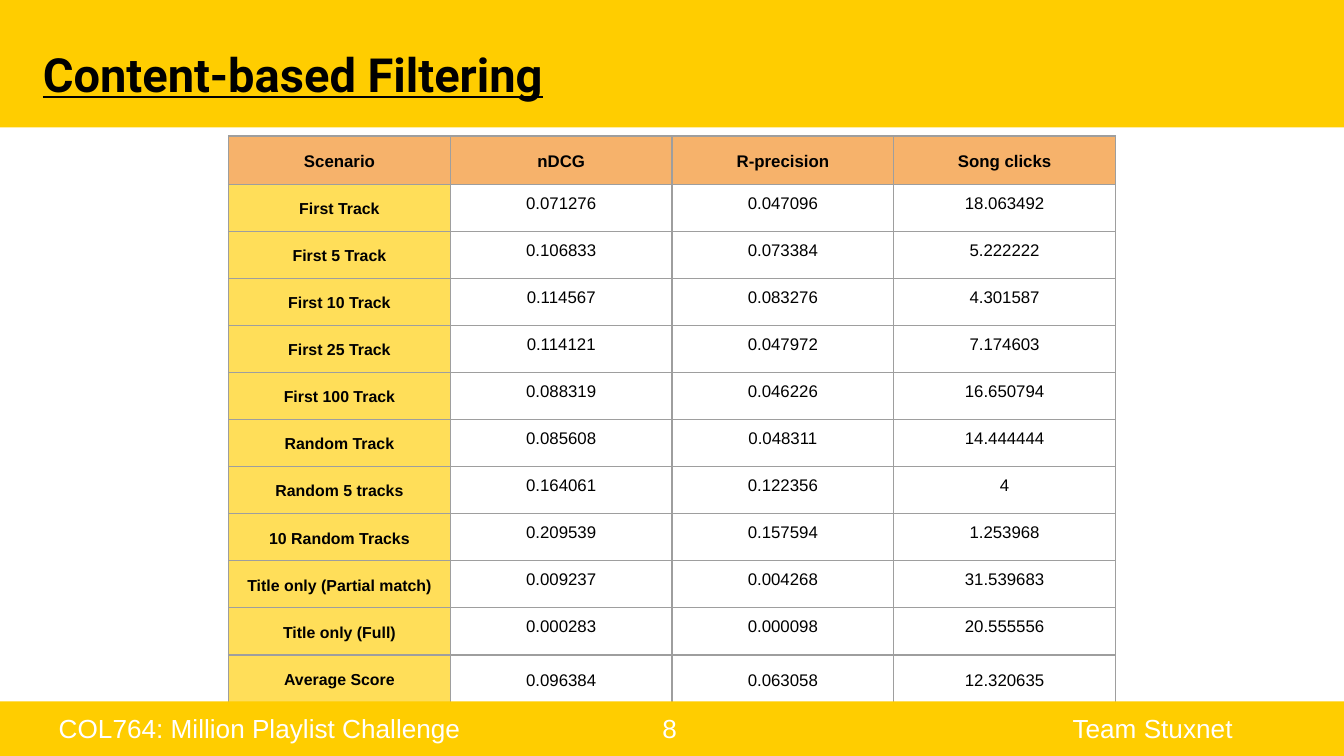
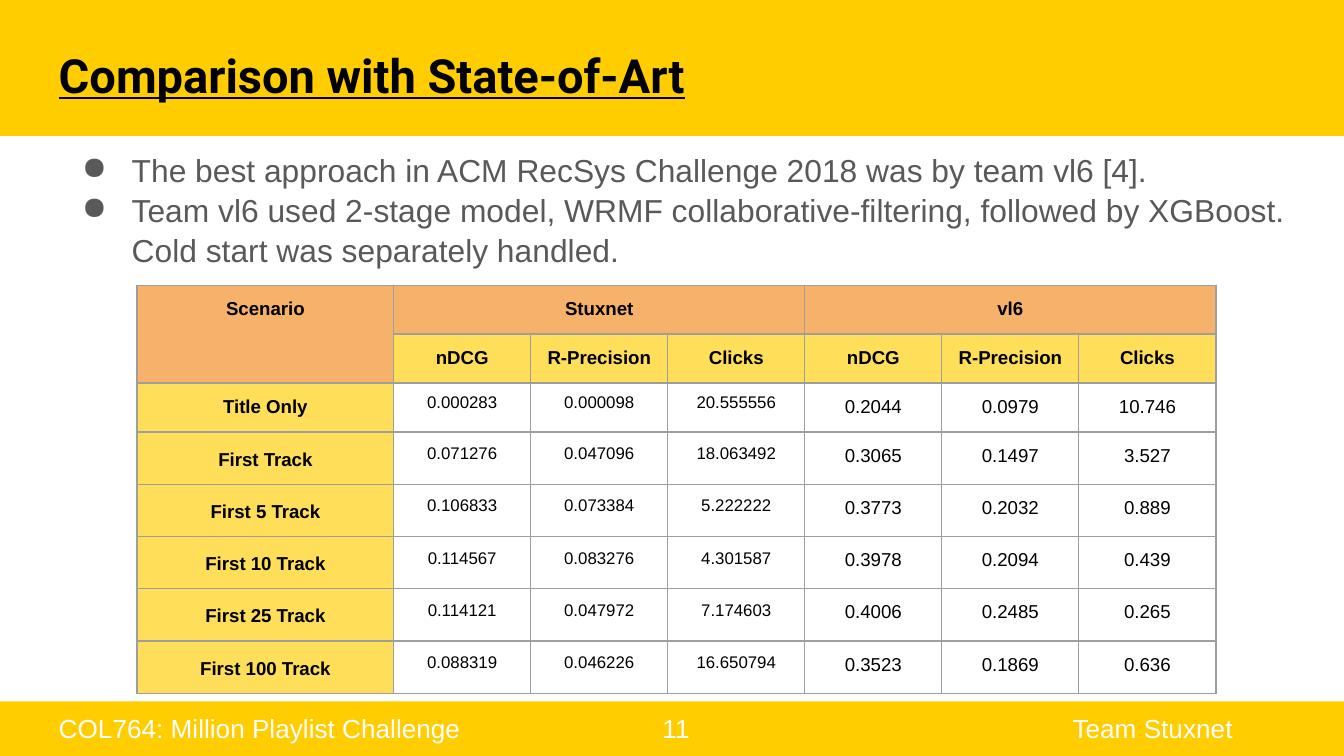
from dataclasses import dataclass, replace
from typing import Optional

from lxml.etree import SubElement
from pptx import Presentation
from pptx.dml.color import RGBColor
from pptx.enum.shapes import MSO_SHAPE
from pptx.enum.text import MSO_ANCHOR, PP_ALIGN
from pptx.oxml.ns import qn
from pptx.util import Cm, Pt

# Colours and fonts
YELLOW = RGBColor(0xFF, 0xCD, 0x00)
ORANGE = RGBColor(0xF6, 0xB2, 0x6B)
GRID = RGBColor(0x9E, 0x9E, 0x9E)
GREY = RGBColor(0x59, 0x59, 0x59)
BLACK = RGBColor(0x00, 0x00, 0x00)
WHITE = RGBColor(0xFF, 0xFF, 0xFF)
BODY_FONT = "Arial"
TITLE_FONT = "Roboto"

# Shared measures, in cm
SLIDE_W, SLIDE_H = 25.4, 14.29
BAND_LEFT, BAND_W = -0.08, 25.48
FOOTER_TOP = 13.26
INSET, TIGHT = 0.25, 0.03


@dataclass(frozen=True)
class Box:
    left: float
    top: float
    width: float
    height: float

    def lengths(self) -> tuple:
        return Cm(self.left), Cm(self.top), Cm(self.width), Cm(self.height)


@dataclass(frozen=True)
class Font:
    size: float
    color: RGBColor = BLACK
    name: str = BODY_FONT
    bold: bool = False
    underline: bool = False


@dataclass(frozen=True)
class CellStyle:
    size: float
    bold: bool = False
    fill: Optional[RGBColor] = None
    opacity: int = 100
    inset: float = INSET
    spacing: Optional[float] = 1.15
    anchor: MSO_ANCHOR = MSO_ANCHOR.MIDDLE


@dataclass(frozen=True)
class Header:
    title: str
    box: Box
    band_height: float


TITLE = Font(25.2, name=TITLE_FONT, bold=True, underline=True)
FOOTER = Font(14, WHITE)
BODY = Font(17, GREY)

HEAD = CellStyle(9, bold=True, fill=ORANGE)
LABEL = CellStyle(8.5, bold=True, fill=YELLOW, opacity=65)
SCORE = CellStyle(9, inset=TIGHT)
AVERAGE = replace(SCORE, inset=INSET)
WIDE_LABEL = replace(LABEL, size=10)
TOP_LABEL = replace(WIDE_LABEL, spacing=None, anchor=MSO_ANCHOR.TOP)
TOP_HEAD = replace(TOP_LABEL, fill=ORANGE, opacity=100)
RIVAL_SCORE = replace(TOP_LABEL, bold=False, fill=None)

# Scores by scenario: nDCG, R-precision, clicks
FILTERING_SCORES = {
    "First Track": ("0.071276", "0.047096", "18.063492"),
    "First 5 Track": ("0.106833", "0.073384", "5.222222"),
    "First 10 Track": ("0.114567", "0.083276", "4.301587"),
    "First 25 Track": ("0.114121", "0.047972", "7.174603"),
    "First 100 Track": ("0.088319", "0.046226", "16.650794"),
    "Random Track": ("0.085608", "0.048311", "14.444444"),
    "Random 5 tracks": ("0.164061", "0.122356", "4"),
    "10 Random Tracks": ("0.209539", "0.157594", "1.253968"),
    "Title only (Partial match)": ("0.009237", "0.004268", "31.539683"),
    "Title only (Full)": ("0.000283", "0.000098", "20.555556"),
    "Average Score": ("0.096384", "0.063058", "12.320635"),
}
RIVAL_SCORES = {
    "Title Only": ("0.2044", "0.0979", "10.746"),
    "First Track": ("0.3065", "0.1497", "3.527"),
    "First 5 Track": ("0.3773", "0.2032", "0.889"),
    "First 10 Track": ("0.3978", "0.2094", "0.439"),
    "First 25 Track": ("0.4006", "0.2485", "0.265"),
    "First 100 Track": ("0.3523", "0.1869", "0.636"),
}
METRICS = ("nDCG", "R-Precision", "Clicks")
FINDINGS = (
    "The best approach in ACM RecSys Challenge 2018 was by team vl6 [4].",
    "Team vl6 used 2-stage model, WRMF collaborative-filtering, followed by "
    "XGBoost. Cold start was separately handled.",
)


def format_runs(p, font: Font) -> None:
    for r in p.runs:
        r.font.name = font.name
        r.font.size = Pt(font.size)
        r.font.bold = font.bold
        r.font.underline = font.underline
        r.font.color.rgb = font.color


def add_text(slide, box: Box, lines: tuple, font: Font):
    tf = slide.shapes.add_textbox(*box.lengths()).text_frame
    tf.word_wrap = True
    tf.margin_left = tf.margin_right = Cm(INSET)
    tf.margin_top = tf.margin_bottom = Cm(INSET)
    tf.text = "\n".join(lines)
    for p in tf.paragraphs:
        format_runs(p, font)
    return tf


def add_bullets(slide, box: Box, lines: tuple) -> None:
    for p in add_text(slide, box, lines, BODY).paragraphs:
        p.line_spacing = 1.05
        pPr = p._p.get_or_add_pPr()
        pPr.set("marL", str(Cm(1.27)))
        pPr.set("indent", str(Cm(-0.94)))
        color = SubElement(pPr, qn("a:buClr"))
        SubElement(color, qn("a:srgbClr"), val=str(GREY))
        SubElement(pPr, qn("a:buChar"), char="●")


def add_band(slide, top: float, height: float) -> None:
    box = Box(BAND_LEFT, top, BAND_W, height)
    sp = slide.shapes.add_shape(MSO_SHAPE.RECTANGLE, *box.lengths())
    sp.shadow.inherit = False
    sp.fill.solid()
    sp.fill.fore_color.rgb = YELLOW
    sp.line.fill.background()


def add_frame(slide, header: Header, number: int) -> None:
    """Footer and title bands with their text."""
    add_band(slide, FOOTER_TOP, SLIDE_H - FOOTER_TOP)
    for text, left, width in (
        ("COL764: Million Playlist Challenge", 0.86, 9.88),
        (str(number), 12.27, 1.1),
        ("Team Stuxnet", 20.02, 3.63),
    ):
        add_text(slide, Box(left, 13.21, width, 1.12), (text,), FOOTER)
    add_band(slide, 0, header.band_height)
    add_text(slide, header.box, (header.title,), TITLE)


def add_borders(tcPr) -> None:
    for side in ("lnL", "lnR", "lnT", "lnB"):
        ln = SubElement(tcPr, qn(f"a:{side}"), w=str(Pt(0.75)))
        fill = SubElement(ln, qn("a:solidFill"))
        SubElement(fill, qn("a:srgbClr"), val=str(GRID))


def style_cell(cell, text: str, style: CellStyle) -> None:
    cell.text = text
    cell.vertical_anchor = style.anchor
    cell.margin_left = cell.margin_right = cell.margin_top = Cm(style.inset)
    cell.margin_bottom = Cm(INSET)
    p = cell.text_frame.paragraphs[0]
    p.alignment = PP_ALIGN.CENTER
    p.line_spacing = style.spacing
    format_runs(p, Font(style.size, bold=style.bold))

    tcPr = cell._tc.get_or_add_tcPr()
    add_borders(tcPr)
    if style.fill is None:
        cell.fill.background()
        return
    cell.fill.solid()
    cell.fill.fore_color.rgb = style.fill
    if style.opacity < 100:
        color = tcPr.find(f"{qn('a:solidFill')}/{qn('a:srgbClr')}")
        SubElement(color, qn("a:alpha"), val=str(style.opacity * 1000))


def add_grid(slide, left: float, top: float, widths: list, heights: list,
             rows: list):
    """Draw a table; each row is a list of (text, style) pairs."""
    box = Box(left, top, sum(widths), sum(heights))
    table = slide.shapes.add_table(len(rows), len(widths), *box.lengths()).table
    table.first_row = table.horz_banding = False
    for column, width in zip(table.columns, widths):
        column.width = Cm(width)
    for row, height, entries in zip(table.rows, heights, rows):
        row.height = Cm(height)
        for cell, (text, style) in zip(row.cells, entries):
            style_cell(cell, text, style)
    return table


def styled(texts: tuple, style: CellStyle) -> list:
    return [(text, style) for text in texts]


def build_filtering(prs) -> None:
    slide = prs.slides.add_slide(prs.slide_layouts[6])
    rows = [styled(("Scenario", "nDCG", "R-precision", "Song clicks"), HEAD)]
    for scenario, scores in FILTERING_SCORES.items():
        style = AVERAGE if scenario == "Average Score" else SCORE
        rows.append([(scenario, LABEL)] + styled(scores, style))
    heights = [0.91] + [0.89] * len(FILTERING_SCORES)
    add_grid(slide, 4.32, 2.57, [4.19] * 4, heights, rows)
    header = Header("Content-based Filtering", Box(0.56, 0.61, 23.67, 1.6), 2.41)
    add_frame(slide, header, 8)


def build_comparison(prs) -> None:
    slide = prs.slides.add_slide(prs.slide_layouts[6])
    add_bullets(slide, Box(0.97, 2.57, 23.67, 2.82), FINDINGS)
    header = Header("Comparison with State-of-Art",
                    Box(0.86, 0.63, 23.67, 1.6), 2.57)
    add_frame(slide, header, 11)

    # Two header rows, then both teams side by side
    rows = [
        styled(("Scenario", "Stuxnet", "", "", "vl6", "", ""), TOP_HEAD),
        [("", TOP_HEAD)] + styled(METRICS * 2, TOP_LABEL),
    ]
    for scenario, rival in RIVAL_SCORES.items():
        title_only = scenario == "Title Only"
        own = FILTERING_SCORES["Title only (Full)" if title_only else scenario]
        label = TOP_LABEL if title_only else WIDE_LABEL
        rows.append([(scenario, label)] + styled(own, SCORE)
                    + styled(rival, RIVAL_SCORE))
    widths = [4.85] + [2.59] * 6
    heights = [0.9] * 3 + [0.96] * 5
    table = add_grid(slide, 2.59, 5.39, widths, heights, rows)
    table.cell(0, 0).merge(table.cell(1, 0))
    for first in (1, 4):
        table.cell(0, first).merge(table.cell(0, first + 2))


def main() -> None:
    prs = Presentation()
    prs.slide_width, prs.slide_height = Cm(SLIDE_W), Cm(SLIDE_H)
    build_filtering(prs)
    build_comparison(prs)
    prs.save("out.pptx")


if __name__ == "__main__":
    main()
